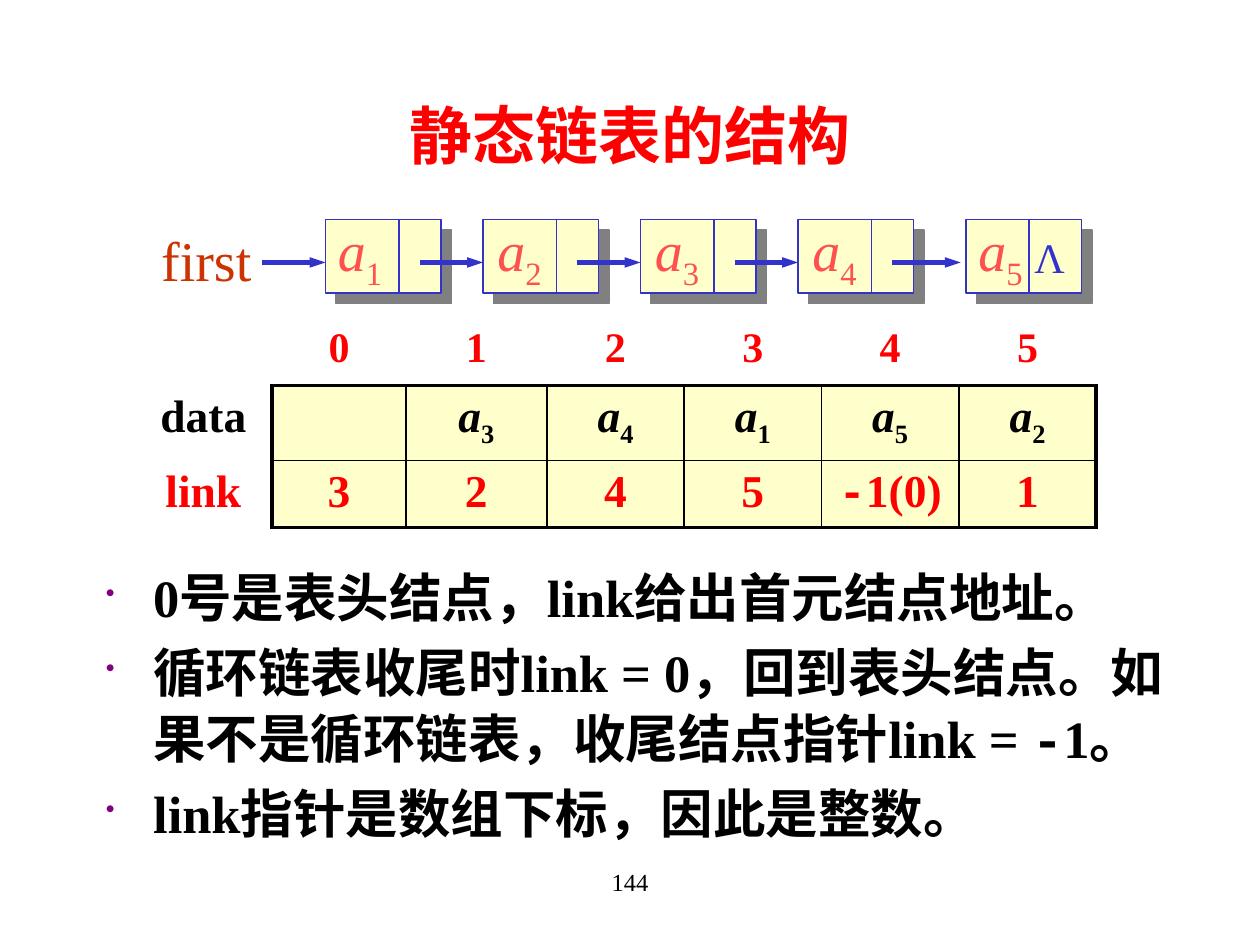
from lxml.etree import SubElement
from pptx import Presentation
from pptx.dml.color import RGBColor
from pptx.enum.shapes import MSO_CONNECTOR as LINE, MSO_SHAPE as SHAPE
from pptx.enum.text import MSO_ANCHOR as ANCHOR, PP_ALIGN as ALIGN
from pptx.oxml.ns import qn
from pptx.util import Pt

COLORS = {
    "red": "FF0000", "black": "000000", "cream": "FFFFCC", "blue": "3333CC",
    "coral": "FF5050", "rust": "CC3300", "purple": "800080", "gray": "808080",
}
SERIF = "Times New Roman"
MINUS = ("-", {"name": "Courier New"})


def rgb(name):
    return RGBColor.from_string(COLORS[name])


def add_xml(parent, tag, **attributes):
    return SubElement(parent, qn(tag), attributes)


def add_color(parent, color):
    add_xml(add_xml(parent, "a:solidFill"), "a:srgbClr", val=COLORS[color])


def write(paragraph, parts, color, **font_values):
    for part in parts:
        words, changes = (part, {}) if isinstance(part, str) else part
        run = paragraph.add_run()
        run.text = words
        values = {"name": SERIF, **font_values, **changes}
        subscript = values.pop("subscript", False)
        for key, value in values.items():
            setattr(run.font, key, value)
        run.font.color.rgb = rgb(color)
        if subscript:
            run._r.get_or_add_rPr().set("baseline", "-25000")


def element_name(index):
    return [("a", {"italic": True}), (str(index), {"subscript": True})]


def add_text(slide, box, parts, color, size, align=ALIGN.LEFT, wrap=False):
    frame = slide.shapes.add_textbox(*map(Pt, box)).text_frame
    frame.word_wrap = wrap
    frame.paragraphs[0].alignment = align
    write(frame.paragraphs[0], parts, color, size=Pt(size))


def add_line(slide, start, end, width, arrow=False):
    line = slide.shapes.add_connector(LINE.STRAIGHT, *map(Pt, (*start, *end)))
    line.line.color.rgb = rgb("blue")
    line.line.width = Pt(width)
    if arrow:
        add_xml(line.line._get_or_add_ln(), "a:tailEnd",
                type="triangle", w="sm", len="med")
    add_xml(line._element.spPr, "a:effectLst")


def add_title(slide, box, words):
    title = slide.shapes.title
    for key, value in zip(("left", "top", "width", "height"), box):
        setattr(title, key, Pt(value))
    title.text_frame.vertical_anchor = ANCHOR.MIDDLE
    title.text_frame.paragraphs[0].alignment = ALIGN.CENTER
    write(title.text_frame.paragraphs[0], [words], "red", size=Pt(36), bold=True)


def add_node(slide, box, index, divider, label_shift):
    left, top, width, height = box
    node = slide.shapes.add_shape(SHAPE.RECTANGLE, *map(Pt, box))
    node.fill.solid()
    node.fill.fore_color.rgb = rgb("cream")
    node.line.color.rgb = rgb("blue")
    node.line.width = Pt(0.75)
    node.shadow.inherit = False
    effects = node._element.spPr.find(qn("a:effectLst"))
    shadow = add_xml(effects, "a:outerShdw", dist=str(Pt(8.5)), dir="2700000",
                     algn="ctr", rotWithShape="0")
    add_xml(shadow, "a:srgbClr", val=COLORS["gray"])
    add_line(slide, (left + divider, top), (left + divider, top + height), 0.75)
    add_text(slide, (left + label_shift, top - 6, 41, 45),
             element_name(index), "coral", 32)


def add_chain(slide, box):
    left, top, width, height = box
    node_width, pitch, first_node = 66, 90, 101
    lefts = [left + first_node + pitch * i for i in range(4)]
    lefts.append(left + width - node_width)
    for index, node_left in enumerate(lefts, 1):
        is_last = index == len(lefts)
        add_node(slide, (node_left, top, node_width, height), index,
                 divider=36 if is_last else 42,
                 label_shift=0 if index in (1, 5) else 1.2)
    starts = [lefts[0] - 36] + [node_left + 54 for node_left in lefts[:-1]]
    ends = lefts[:-1] + [lefts[-1] - 3]
    for start, end in zip(starts, ends):
        add_line(slide, (start, top + 24.5), (end, top + 24.5), 3, arrow=True)
    add_text(slide, (lefts[-1] + 32, top + 3.5, 39, 36), ["Λ"], "blue", 24)
    add_text(slide, (left, top, 71, 45), ["first"], "rust", 32)


def set_borders(cell, row, column, rows, columns):
    in_block = row >= 1, column >= 1
    edges = {
        "a:lnL": (all(in_block), column in (1, columns)),
        "a:lnR": (in_block[0], column + 1 in (1, columns)),
        "a:lnT": (all(in_block), row in (1, rows)),
        "a:lnB": (in_block[1], row + 1 in (1, rows)),
    }
    properties = cell._tc.get_or_add_tcPr()
    for tag, (visible, thick) in edges.items():
        edge = add_xml(properties, tag, w=str(Pt(2.25 if thick else 1)))
        if visible:
            add_color(edge, "black")
        else:
            add_xml(edge, "a:noFill")


def add_node_table(slide, box):
    contents = [
        [[]] + [[str(i)] for i in range(6)],
        [["data"], []] + [element_name(i) for i in (3, 4, 1, 5, 2)],
        [["link"], ["3"], ["2"], ["4"], ["5"], [MINUS, "1(0)"], ["1"]],
    ]
    rows, columns = len(contents), len(contents[0])
    table = slide.shapes.add_table(rows, columns, *map(Pt, box)).table
    table.first_row = table.horz_banding = False
    for column, width in zip(table.columns, (78.5, 76.5, 80.5) + (78.5,) * 4):
        column.width = Pt(width)
    for r, row in enumerate(contents):
        table.rows[r].height = Pt(box[3] / rows)
        for c, parts in enumerate(row):
            cell = table.cell(r, c)
            set_borders(cell, r, c, rows, columns)
            if r and c:
                cell.fill.solid()
                cell.fill.fore_color.rgb = rgb("cream")
            else:
                cell.fill.background()
            paragraph = cell.text_frame.paragraphs[0]
            paragraph.alignment = ALIGN.CENTER
            write(paragraph, parts, "black" if r == 1 else "red",
                  size=Pt(26 if r else 24), bold=True)


def add_notes_list(slide, box):
    items = [
        ["0号是表头结点，link给出首元结点地址。"],
        ["循环链表收尾时link = 0，回到表头结点。如果不是循环链表，收尾结点指针link = ",
         MINUS, "1。"],
        ["link指针是数组下标，因此是整数。"],
    ]
    frame = slide.shapes.add_textbox(*map(Pt, box)).text_frame
    frame.word_wrap = True
    for i, parts in enumerate(items):
        paragraph = frame.add_paragraph() if i else frame.paragraphs[0]
        paragraph.line_spacing = 1.05
        paragraph.space_before = Pt(5)
        properties = paragraph._p.get_or_add_pPr()
        properties.set("marL", str(Pt(27)))
        properties.set("indent", str(Pt(-27)))
        bullet_color = add_xml(properties, "a:buClr")
        add_xml(bullet_color, "a:srgbClr", val=COLORS["purple"])
        add_xml(properties, "a:buSzPct", val="50000")
        add_xml(properties, "a:buChar", char="•")
        write(paragraph, parts, "black", size=Pt(30), bold=True)


def main():
    deck = Presentation()
    deck.slide_width, deck.slide_height = Pt(720), Pt(540)
    slide = deck.slides.add_slide(deck.slide_layouts[5])
    add_title(slide, (36, 36, 648, 81), "静态链表的结构")
    add_chain(slide, (85, 125.5, 533, 42))
    add_node_table(slide, (77, 182, 549.5, 115))
    add_notes_list(slide, (53.5, 317.5, 648, 184))
    add_text(slide, (246, 492, 228, 36), ["144"], "black", 14, ALIGN.CENTER, wrap=True)
    deck.save("out.pptx")


if __name__ == "__main__":
    main()
